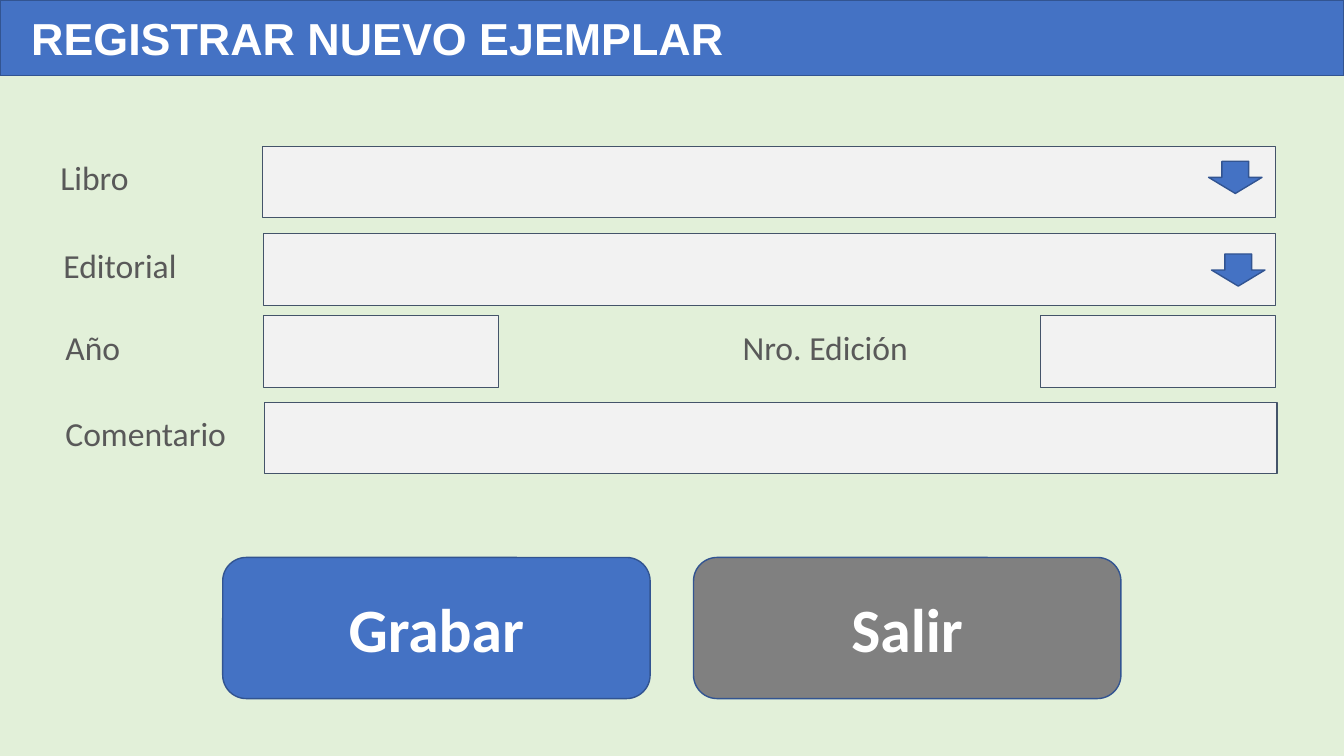
from pptx import Presentation
from pptx.dml.color import RGBColor
from pptx.enum import shapes, text
from pptx.util import Pt

BLUE = RGBColor(0x44, 0x72, 0xC4)
DARK_BLUE = RGBColor(0x32, 0x54, 0x91)
SLATE = RGBColor(0x44, 0x54, 0x6A)
GRAY = RGBColor(0x80, 0x80, 0x80)
TEXT_GRAY = RGBColor(0x59, 0x59, 0x59)
LIGHT_GRAY = RGBColor(0xF2, 0xF2, 0xF2)
PALE_GREEN = RGBColor(0xE2, 0xF0, 0xD9)
WHITE = RGBColor(0xFF, 0xFF, 0xFF)

# Content
TITLE = "REGISTRAR NUEVO EJEMPLAR"
# label, label left, label width, field left, field top, field width
FIELDS = [
    ("Libro", 36, 150.5, 187.2, 104.4, 723.6),
    ("Editorial", 38.2, 138.2, 188.6, 167, 722.2),
    ("Año", 39.6, 138.2, 188.6, 225.4, 167.8),
    ("Nro. Edición", 523.4, 208.8, 743, 225.4, 167.8),
    ("Comentario", 39.6, 138.2, 188.6, 287.3, 723.6),
]
ARROWS = [(863.3, 115.2), (865.4, 181.4)]
BUTTONS = [("Grabar", BLUE), ("Salir", GRAY)]

# Formats and sizes
TITLE_FONT = {"name": "Arial", "size": Pt(32), "bold": True}
LABEL_FONT = {"name": "Calibri", "size": Pt(24)}
BUTTON_FONT = {"name": "Calibri", "size": Pt(44), "bold": True}
FIELD_HEIGHT, LABEL_HEIGHT, LABEL_DROP = 51.1, 36, 4.4
BUTTON_LEFT, BUTTON_TOP, BUTTON_WIDTH, BUTTON_HEIGHT = 159.1, 398.2, 305.3, 100.8
BUTTON_GAP = 31

presentation = Presentation()
presentation.slide_width, presentation.slide_height = Pt(960), Pt(540)
slide = presentation.slides.add_slide(presentation.slide_layouts[6])
slide.background.fill.solid()
slide.background.fill.fore_color.rgb = PALE_GREEN


def add_box(kind, box, fill, line=DARK_BLUE, line_width=1):
    shape = slide.shapes.add_shape(kind, *map(Pt, box))
    shape.shadow.inherit = False
    shape.fill.solid()
    shape.fill.fore_color.rgb = fill
    shape.line.color.rgb = line
    shape.line.width = Pt(line_width)
    return shape


def write(shape, words, font, color, align, anchor):
    frame = shape.text_frame
    frame.word_wrap = True
    frame.vertical_anchor = anchor
    paragraph = frame.paragraphs[0]
    paragraph.alignment = align
    run = paragraph.add_run()
    run.text = words
    for key, value in font.items():
        setattr(run.font, key, value)
    run.font.color.rgb = color


# Title bar
title_bar = add_box(shapes.MSO_SHAPE.RECTANGLE, (0, 0, 960, 54), BLUE)
title_bar.text_frame.margin_left = Pt(22.3)
write(title_bar, TITLE, TITLE_FONT, WHITE,
      text.PP_ALIGN.LEFT, text.MSO_ANCHOR.MIDDLE)

# Form fields with their labels
for words, label_left, label_width, left, top, width in FIELDS:
    add_box(shapes.MSO_SHAPE.RECTANGLE, (left, top, width, FIELD_HEIGHT),
            LIGHT_GRAY, SLATE, 0.75)
    label = slide.shapes.add_textbox(
        Pt(label_left), Pt(top + LABEL_DROP), Pt(label_width), Pt(LABEL_HEIGHT))
    write(label, words, LABEL_FONT, TEXT_GRAY,
          text.PP_ALIGN.LEFT, text.MSO_ANCHOR.TOP)
    label.text_frame.auto_size = text.MSO_AUTO_SIZE.SHAPE_TO_FIT_TEXT

# Drop-down arrows
for left, top in ARROWS:
    add_box(shapes.MSO_SHAPE.DOWN_ARROW, (left, top, 38.2, 23), BLUE)

# Buttons
for index, (words, fill) in enumerate(BUTTONS):
    left = BUTTON_LEFT + index * (BUTTON_WIDTH + BUTTON_GAP)
    button = add_box(shapes.MSO_SHAPE.ROUNDED_RECTANGLE,
                     (left, BUTTON_TOP, BUTTON_WIDTH, BUTTON_HEIGHT), fill)
    write(button, words, BUTTON_FONT, WHITE,
          text.PP_ALIGN.CENTER, text.MSO_ANCHOR.MIDDLE)

presentation.save("out.pptx")
